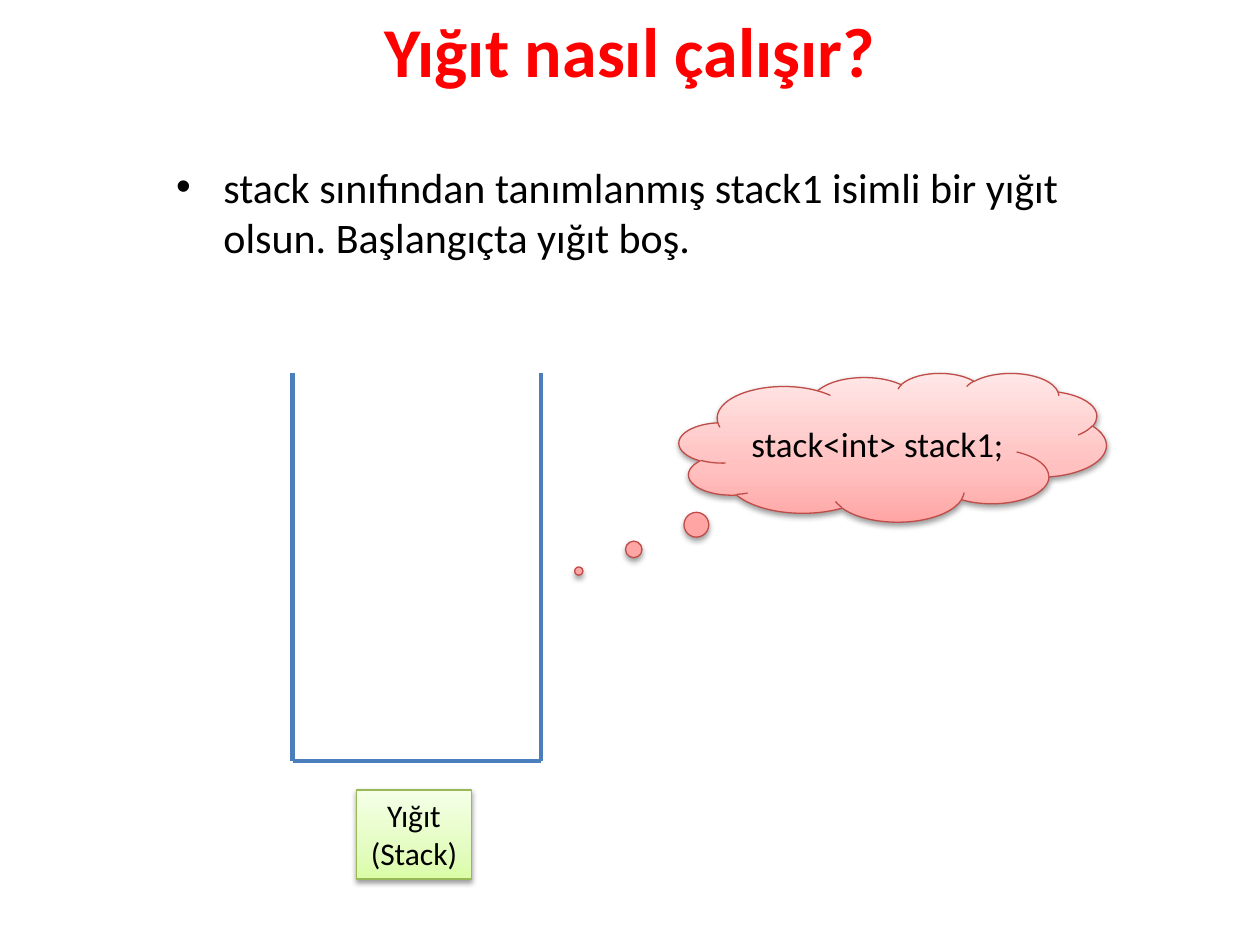
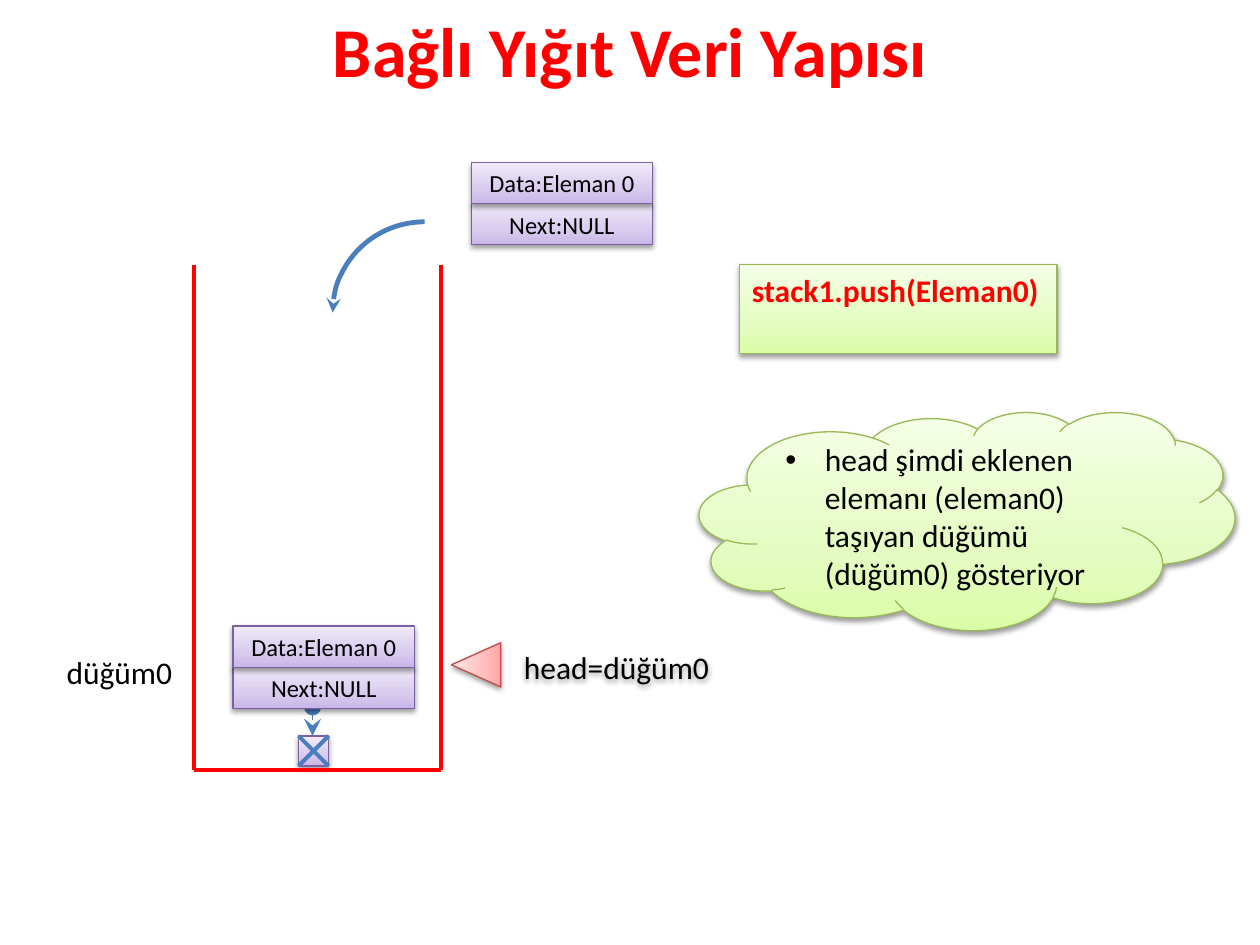
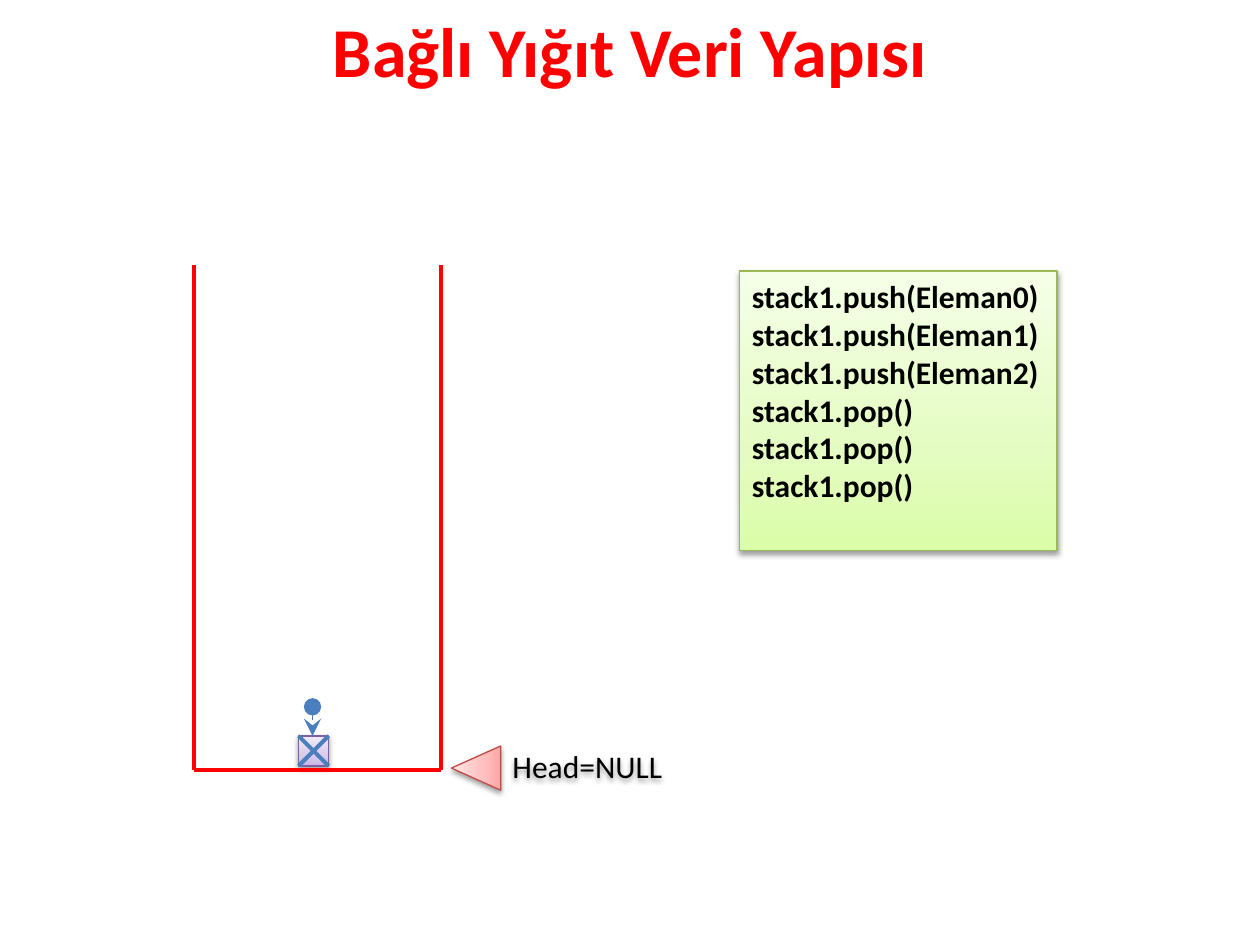
"""Build three slides on how a linked stack works."""
from lxml.etree import SubElement
from pptx import Presentation
from pptx.dml.color import RGBColor
from pptx.enum.shapes import MSO_CONNECTOR as Connector, MSO_SHAPE as Preset
from pptx.enum.text import MSO_ANCHOR as Anchor, PP_ALIGN as Align
from pptx.oxml.ns import qn
from pptx.util import Pt

FONT = "Calibri"
COLORS = {"red": "FF0000", "black": "000000", "blue": "4B7EBC"}
THEMES = {
    "green": {"line": "98B955", "stops": ((0, "DAFDA7"), (35, "E4FCC2"), (100, "F5FFE7"))},
    "pink": {"line": "BF4C48", "stops": ((0, "FFA6A5"), (35, "FFC0BF"), (100, "FFE7E7"))},
    "purple": {"line": "7D60A0", "stops": ((0, "C9B5E8"), (35, "D8CBEE"), (100, "F0EAF9"))},
}

HOW_TITLE = "Yığıt nasıl çalışır?"
LINKED_TITLE = "Bağlı Yığıt Veri Yapısı"
INTRO = ["stack sınıfından tanımlanmış stack1 isimli bir yığıt olsun. Başlangıçta yığıt boş."]
STACK_LABEL = ["Yığıt", "(Stack)"]
DECLARATION = ["stack<int> stack1;"]
NODE_FIELDS = ["Data:Eleman 0", "Next:NULL"]
NODE_NAME = ["düğüm0"]
FIRST_PUSH = ["stack1.push(Eleman0)"]
HEAD_NOTE = ["head şimdi eklenen elemanı (eleman0) taşıyan düğümü (düğüm0) gösteriyor"]
HEAD_AT_NODE = ["head=düğüm0"]
HEAD_AT_NULL = ["Head=NULL"]
CALLS = [f"stack1.push(Eleman{number})" for number in range(3)] + ["stack1.pop()"] * 3

EMPTY_BIN = (167.2, 213.1, 141.8, 221.8)
LINKED_BIN = (110.7, 151.2, 141.4, 288.7)
NODE_SIZE = (103.7, 23.5)
NULL_BOX = (170.6, 420.5, 17.2)
POINTER = (178.6, 403.9, 420.5)


def rgb(name):
    return RGBColor.from_string(COLORS.get(name, name))


def add_shadow(shape):
    shape.shadow.inherit = False
    effects = shape._element.spPr.find(qn("a:effectLst"))
    outer = SubElement(effects, qn("a:outerShdw"), blurRad="40000", dist="20000",
                       dir="5400000", rotWithShape="0")
    color = SubElement(outer, qn("a:srgbClr"), val=COLORS["black"])
    SubElement(color, qn("a:alpha"), val="38000")


def add_gradient(shape, stops):
    shape.fill.gradient()
    gradient = shape._element.spPr.find(qn("a:gradFill"))
    for child in list(gradient):
        gradient.remove(child)
    gradient.set("rotWithShape", "1")
    stop_list = SubElement(gradient, qn("a:gsLst"))
    for percent, color in stops:
        stop = SubElement(stop_list, qn("a:gs"), pos=str(percent * 1000))
        SubElement(stop, qn("a:srgbClr"), val=color)
    SubElement(gradient, qn("a:lin"), ang="16200000", scaled="0")


def add_arrowhead(shape, end, kind, size="med"):
    SubElement(shape.line._get_or_add_ln(), qn(f"a:{end}"), type=kind, w=size, len=size)


def write(shape, lines, size=18, color="black", bold=False, align=Align.LEFT,
          anchor=Anchor.TOP, bullet_indent=0):
    frame = shape.text_frame
    frame.word_wrap = True
    frame.vertical_anchor = anchor
    for index, line in enumerate(lines):
        paragraph = frame.add_paragraph() if index else frame.paragraphs[0]
        paragraph.alignment = align
        if bullet_indent:
            properties = paragraph._p.get_or_add_pPr()
            properties.set("marL", str(Pt(bullet_indent)))
            properties.set("indent", str(-Pt(bullet_indent)))
            SubElement(properties, qn("a:buFont"), typeface="Arial")
            SubElement(properties, qn("a:buChar"), char="•")
        run = paragraph.add_run()
        run.text = line
        font = run.font
        font.name, font.size, font.bold = FONT, Pt(size), bold
        font.color.rgb = rgb(color)


def add_text(slide, box, lines, **style):
    shape = slide.shapes.add_textbox(*map(Pt, box))
    write(shape, lines, **style)
    return shape


def add_panel(shapes, preset, box, theme, lines=(), **style):
    shape = shapes.add_shape(preset, *map(Pt, box))
    add_gradient(shape, THEMES[theme]["stops"])
    shape.line.color.rgb = rgb(THEMES[theme]["line"])
    shape.line.width = Pt(0.75)
    add_shadow(shape)
    write(shape, lines, **style)
    return shape


def add_line(shapes, start, end, color="blue", width=2.5):
    line = shapes.add_connector(Connector.STRAIGHT, *map(Pt, start + end))
    line.line.color.rgb = rgb(color)
    line.line.width = Pt(width)
    SubElement(line._element.spPr, qn("a:effectLst"))
    return line


def add_bin(slide, box, color):
    left, top, width, height = box
    right, bottom = left + width, top + height
    corners = [(left, top), (left, bottom), (right, bottom), (right, top)]
    group = slide.shapes.add_group_shape()
    for start, end in zip(corners, corners[1:]):
        add_line(group.shapes, start, end, color)


def add_node(slide, left, top):
    width, height = NODE_SIZE
    group = slide.shapes.add_group_shape()
    for row in reversed(range(len(NODE_FIELDS))):
        add_panel(group.shapes, Preset.RECTANGLE, (left, top + row * height, width, height),
                  "purple", [NODE_FIELDS[row]], size=14, align=Align.CENTER,
                  anchor=Anchor.MIDDLE)


def add_null_box(slide):
    left, top, side = NULL_BOX
    right, bottom = left + side, top + side
    group = slide.shapes.add_group_shape()
    add_panel(group.shapes, Preset.RECTANGLE, (left, top, side, side), "purple")
    add_line(group.shapes, (right, top), (left, bottom), width=2.25)
    add_line(group.shapes, (left, top), (right, bottom), width=2.25)


def add_linked_stack(slide):
    add_null_box(slide)
    add_bin(slide, LINKED_BIN, "red")
    x, top, bottom = POINTER
    pointer = add_line(slide.shapes, (x, top), (x, bottom), width=0.75)
    add_arrowhead(pointer, "headEnd", "oval", "lg")
    add_arrowhead(pointer, "tailEnd", "stealth", "lg")


def add_head_marker(slide, triangle_top, label_left, label_top, label):
    triangle = add_panel(slide.shapes, Preset.ISOSCELES_TRIANGLE,
                         (259.4, triangle_top, 25.3, 28.2), "pink")
    triangle.rotation = 270
    add_shadow_text = add_text(slide, (label_left, label_top, 124.6, 29), label)
    add_shadow(add_shadow_text)


def add_push_arrow(slide):
    arc = slide.shapes.add_shape(Preset.ARC, *map(Pt, (190.8, 126, 103.7, 105.1)))
    arc.rotation = 270
    arc.fill.background()
    arc.line.color.rgb = rgb("blue")
    arc.line.width = Pt(2.75)
    arc.shadow.inherit = False
    add_arrowhead(arc, "headEnd", "stealth")


def add_slide(presentation, title):
    slide = presentation.slides.add_slide(presentation.slide_layouts[6])
    add_text(slide, (0, -2.2, 720, 61.2), [title], size=40, color="red", bold=True,
             align=Align.CENTER, anchor=Anchor.MIDDLE)
    return slide


def build_empty_stack(presentation):
    slide = add_slide(presentation, HOW_TITLE)
    add_bin(slide, EMPTY_BIN, "blue")
    add_panel(slide.shapes, Preset.RECTANGLE, (203.8, 451.4, 65.5, 51), "green",
              STACK_LABEL, align=Align.CENTER)
    callout = add_panel(slide.shapes, Preset.CLOUD_CALLOUT, (388.1, 213.1, 244.1, 85),
                        "pink", DECLARATION, size=20, align=Align.CENTER,
                        anchor=Anchor.MIDDLE)
    callout.adjustments[0], callout.adjustments[1] = -0.735, 0.832
    add_text(slide, (93.6, 88.6, 532.8, 65.5), INTRO, size=24, bullet_indent=27)


def build_first_push(presentation):
    slide = add_slide(presentation, LINKED_TITLE)
    add_node(slide, 269.3, 92.9)
    add_linked_stack(slide)
    add_text(slide, (31, 369.4, 79.2, 29), NODE_NAME)
    add_panel(slide.shapes, Preset.RECTANGLE, (422.6, 151.2, 181.4, 51), "green",
              FIRST_PUSH, color="red", bold=True)
    add_head_marker(slide, 365.8, 292.3, 366.5, HEAD_AT_NODE)
    add_panel(slide.shapes, Preset.CLOUD, (399.6, 235.4, 306, 124.6), "green",
              HEAD_NOTE, anchor=Anchor.MIDDLE, bullet_indent=22.5)
    add_push_arrow(slide)
    add_node(slide, 133.2, 357.8)


def build_emptied_stack(presentation):
    slide = add_slide(presentation, LINKED_TITLE)
    add_linked_stack(slide)
    add_panel(slide.shapes, Preset.RECTANGLE, (422.6, 154.8, 181.4, 159.8), "green",
              CALLS, bold=True)
    add_head_marker(slide, 424.8, 285.8, 423.4, HEAD_AT_NULL)


def main():
    presentation = Presentation()
    presentation.slide_width, presentation.slide_height = Pt(720), Pt(540)
    for build in (build_empty_stack, build_first_push, build_emptied_stack):
        build(presentation)
    presentation.save("out.pptx")


main()
